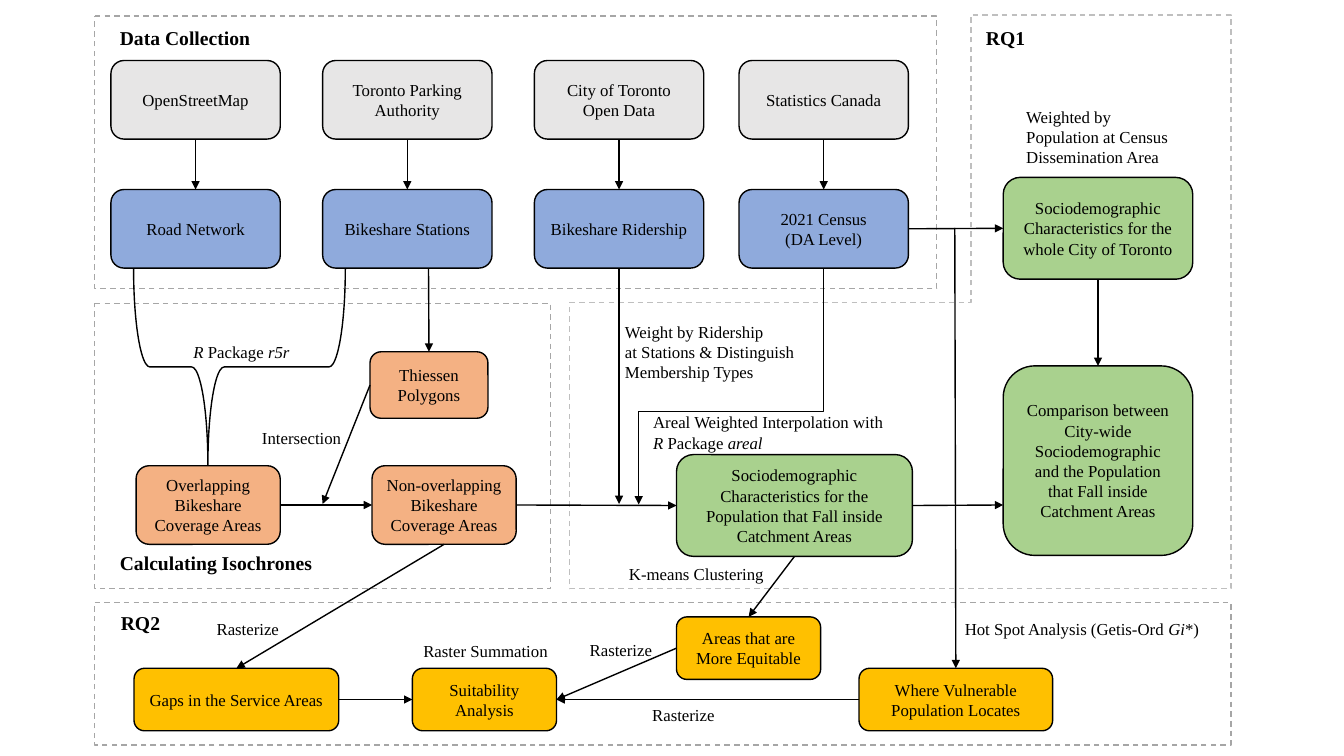
import dataclasses

import pptx
import pptx.dml.color
import pptx.enum.dml
import pptx.enum.shapes
import pptx.enum.text
import pptx.oxml
import pptx.oxml.ns
import pptx.util
from pptx.util import Inches

SHAPE = pptx.enum.shapes.MSO_SHAPE
CONNECTOR = pptx.enum.shapes.MSO_CONNECTOR
ALIGN = pptx.enum.text.PP_ALIGN
TOP, LEFT, BOTTOM, RIGHT = range(4)


@dataclasses.dataclass(frozen=True)
class Theme:
    font: str = "Times New Roman"
    body: int = 12
    heading: int = 14
    line: int = 1
    ink: str = "000000"
    frame: str = "A6A6A6"
    rq1_frame: str = "BFBFBF"
    source: str = "E7E6E6"
    dataset: str = "8FAADC"
    coverage: str = "F4B183"
    social: str = "A9D18E"
    result: str = "FFC000"


THEME = Theme()


def rgb(color):
    return pptx.dml.color.RGBColor.from_string(color)


def set_line(line, color=THEME.ink):
    line.color.rgb = rgb(color)
    line.width = pptx.util.Pt(THEME.line)


def write(text_frame, text, align, size=THEME.body, bold=False):
    """Write one paragraph per line; parts between underscores are italic."""
    for number, line in enumerate(text.split("\n")):
        paragraph = text_frame.add_paragraph() if number else text_frame.paragraphs[0]
        paragraph.alignment = align
        for index, part in enumerate(line.split("_")):
            if part:
                run = paragraph.add_run()
                run.text = part
                run.font.name = THEME.font
                run.font.size = pptx.util.Pt(size)
                run.font.bold = bold
                run.font.italic = index % 2 == 1
                run.font.color.rgb = rgb(THEME.ink)


@dataclasses.dataclass
class Region:
    """A box on the slide; its parts are placed from its top left corner."""
    shapes: object
    x: float
    y: float
    width: float
    height: float

    def point(self, x, y):
        return Inches(self.x + x), Inches(self.y + y)

    def outline(self, kind, x, y, width, height, adjustments=()):
        shape = self.shapes.add_shape(kind, *self.point(x, y), Inches(width), Inches(height))
        shape.shadow.inherit = False
        shape.fill.background()
        set_line(shape.line)
        for index, value in enumerate(adjustments):
            shape.adjustments[index] = value
        return shape

    def frame(self):
        frame = self.outline(SHAPE.ROUNDED_RECTANGLE, 0, 0, self.width, self.height, (0,))
        set_line(frame.line, THEME.frame)
        frame.line.dash_style = pptx.enum.dml.MSO_LINE.DASH

    def corner_frame(self, column, row, color):
        """Frame a column on the right and a row at the bottom."""
        inner_x, inner_y = self.width - column, self.height - row
        builder = self.shapes.build_freeform(*self.point(0, inner_y))
        corners = [(inner_x, inner_y), (inner_x, 0), (self.width, 0),
                   (self.width, self.height), (0, self.height)]
        builder.add_line_segments([self.point(*corner) for corner in corners], close=True)
        frame = builder.convert_to_shape()
        frame.shadow.inherit = False
        frame.fill.background()
        set_line(frame.line, color)
        frame.line.dash_style = pptx.enum.dml.MSO_LINE.DASH

    def step(self, text, color, x, y, width, height):
        step = self.outline(SHAPE.ROUNDED_RECTANGLE, x, y, width, height)
        step.fill.solid()
        step.fill.fore_color.rgb = rgb(color)
        step.text_frame.word_wrap = True
        step.text_frame.vertical_anchor = pptx.enum.text.MSO_ANCHOR.MIDDLE
        write(step.text_frame, text, ALIGN.CENTER)
        return step

    def label(self, text, x, y, width, height=0.3, wrap=False, **style):
        label = self.shapes.add_textbox(*self.point(x, y), Inches(width), Inches(height))
        label.text_frame.word_wrap = wrap
        label.text_frame.auto_size = pptx.enum.text.MSO_AUTO_SIZE.SHAPE_TO_FIT_TEXT
        write(label.text_frame, text, ALIGN.LEFT, **style)

    def heading(self, text, x, y, width):
        self.label(text, x, y, width, 0.34, size=THEME.heading, bold=True)

    def connector(self, kind, start, end):
        connector = self.shapes.add_connector(kind, *self.point(*start), *self.point(*end))
        set_line(connector.line)
        properties = connector.element.spPr
        namespace = pptx.oxml.ns.nsdecls("a")
        properties.find(pptx.oxml.ns.qn("a:ln")).append(
            pptx.oxml.parse_xml(f'<a:tailEnd {namespace} type="triangle"/>'))
        properties.append(pptx.oxml.parse_xml(f'<a:effectLst {namespace}/>'))
        return connector

    def arrow(self, start, end):
        """Draw an arrow; each end is a point or a pair of step and side."""
        joined = [not isinstance(tip[0], (int, float)) for tip in (start, end)]
        arrow = self.connector(CONNECTOR.STRAIGHT, (0, 0) if joined[0] else start,
                               (0, 0) if joined[1] else end)
        if joined[0]:
            arrow.begin_connect(*start)
        if joined[1]:
            arrow.end_connect(*end)

    def down_then_left(self, x, y, width, height, bend):
        """Draw an elbow arrow whose box is turned a quarter clockwise."""
        elbow = self.connector(CONNECTOR.ELBOW, (x, y), (x + width, y + height))
        elbow.element.spPr.find(pptx.oxml.ns.qn("a:xfrm")).set("rot", str(90 * 60000))
        geometry = elbow.element.spPr.find(pptx.oxml.ns.qn("a:prstGeom"))
        for guides in geometry.findall(pptx.oxml.ns.qn("a:avLst")):
            geometry.remove(guides)
        geometry.append(pptx.oxml.parse_xml(
            f'<a:avLst {pptx.oxml.ns.nsdecls("a")}>'
            f'<a:gd name="adj1" fmla="val {round(bend * 100000)}"/></a:avLst>'))


def data_collection(region):
    """Draw sources above their datasets and return the datasets."""
    region.frame()
    region.heading("Data Collection", 0.15, 0.05, 1.5)
    columns = [(0.16, "OpenStreetMap", "Road Network"),
               (2.26, "Toronto Parking Authority", "Bikeshare Stations"),
               (4.36, "City of Toronto Open Data", "Bikeshare Ridership"),
               (6.39, "Statistics Canada", "2021 Census\n(DA Level)")]
    datasets = []
    for x, source_name, dataset_name in columns:
        source = region.step(source_name, THEME.source, x, 0.44, 1.68, 0.78)
        dataset = region.step(dataset_name, THEME.dataset, x, 1.72, 1.68, 0.78)
        region.arrow((source, BOTTOM), (dataset, TOP))
        datasets.append(dataset)
    return datasets


def isochrones(region):
    """Draw the coverage areas and return the non-overlapping ones."""
    region.frame()
    region.heading("Calculating Isochrones", 0.15, 2.41, 2.12)
    brace = region.outline(SHAPE.LEFT_BRACE, 0.46, -0.42, 1.95, 2.1, (0.083, 0.351))
    brace.rotation = 270
    region.label("_R_ Package _r5r_", 0.88, 0.33, 1.17)
    region.label("Intersection", 1.56, 1.18, 1.02)
    overlapping, separate = [
        region.step(f"{kind} Bikeshare Coverage Areas", THEME.coverage, x, 1.61, 1.43, 0.78)
        for kind, x in [("Overlapping", 0.41), ("Non-overlapping", 2.75)]]
    thiessen = region.step("Thiessen Polygons", THEME.coverage, 2.73, 0.48, 1.17, 0.66)
    region.arrow((3.31, -0.35), (thiessen, TOP))
    region.arrow((overlapping, RIGHT), (separate, LEFT))
    region.arrow((thiessen, LEFT), (2.26, 1.99))
    return separate


def rq1(region, ridership, census, separate):
    """Draw the comparison and return the catchment characteristics."""
    region.corner_frame(2.58, 2.84, THEME.rq1_frame)
    region.heading("RQ1", 4.03, 0.06, 0.59)
    region.label("Weighted by Population at Census Dissemination Area",
                 4.43, 0.86, 1.62, 0.71, wrap=True)
    region.label("Weight by Ridership\nat Stations & Distinguish\nMembership Types",
                 0.45, 2.99, 1.94, 0.71)
    region.label("Areal Weighted Interpolation with _R_ Package _areal_",
                 0.73, 3.89, 2.57, 0.5, wrap=True)
    region.label("K-means Clustering", 0.49, 5.39, 1.56)
    city, catchment, comparison = [region.step(text, THEME.social, *box) for text, *box in [
        ("Sociodemographic Characteristics for the whole City of Toronto",
         4.3, 1.61, 1.88, 1.01),
        ("Sociodemographic Characteristics for the Population that Fall inside "
         "Catchment Areas", 1.06, 4.36, 2.34, 1.01),
        ("Comparison between City-wide Sociodemographic and the Population that "
         "Fall inside Catchment Areas", 4.3, 3.48, 1.88, 1.88)]]
    region.arrow((census, RIGHT), (city, LEFT))
    region.arrow((city, BOTTOM), (comparison, TOP))
    region.arrow((separate, RIGHT), (catchment, LEFT))
    region.arrow((catchment, RIGHT), (4.3, 4.86))
    region.arrow((ridership, BOTTOM), (0.49, 4.85))
    region.down_then_left(0.43, 2.77, 2.34, 1.83, 0.607)
    return catchment


def rq2(region, separate, catchment):
    region.frame()
    region.heading("RQ2", 0.16, 0.03, 0.59)
    for x, y in [(1.11, 0.11), (5.43, 0.96), (4.81, 0.32)]:
        region.label("Rasterize", x, y, 0.83)
    region.label("Raster Summation", 3.16, 0.33, 1.45)
    region.label("Hot Spot Analysis (Getis-Ord _Gi_*)", 8.53, 0.11, 2.55)
    gaps, suitability, equitable, vulnerable = [
        region.step(text, THEME.result, x, y, width, 0.62) for text, x, y, width in [
            ("Gaps in the Service Areas", 0.39, 0.65, 2.03),
            ("Suitability Analysis", 3.15, 0.65, 1.43),
            ("Areas that are More Equitable", 5.77, 0.14, 1.43),
            ("Where Vulnerable Population Locates", 7.58, 0.65, 1.92)]]
    region.arrow((separate, BOTTOM), (gaps, TOP))
    region.arrow((catchment, BOTTOM), (equitable, TOP))
    region.arrow((8.53, -3.72), (vulnerable, TOP))
    region.arrow((gaps, RIGHT), (suitability, LEFT))
    for origin in (equitable, vulnerable):
        region.arrow((origin, LEFT), (suitability, RIGHT))


def main():
    deck = pptx.Presentation()
    deck.slide_width, deck.slide_height = Inches(13.33), Inches(7.5)
    shapes = deck.slides.add_slide(deck.slide_layouts[6]).shapes
    _, _, ridership, census = data_collection(Region(shapes, 0.94, 0.16, 8.35, 2.7))
    separate = isochrones(Region(shapes, 0.94, 3.01, 4.52, 2.83))
    catchment = rq1(Region(shapes, 5.65, 0.15, 6.56, 5.69), ridership, census, separate)
    rq2(Region(shapes, 0.94, 5.98, 11.27, 1.41), separate, catchment)
    deck.save("out.pptx")


if __name__ == "__main__":
    main()
